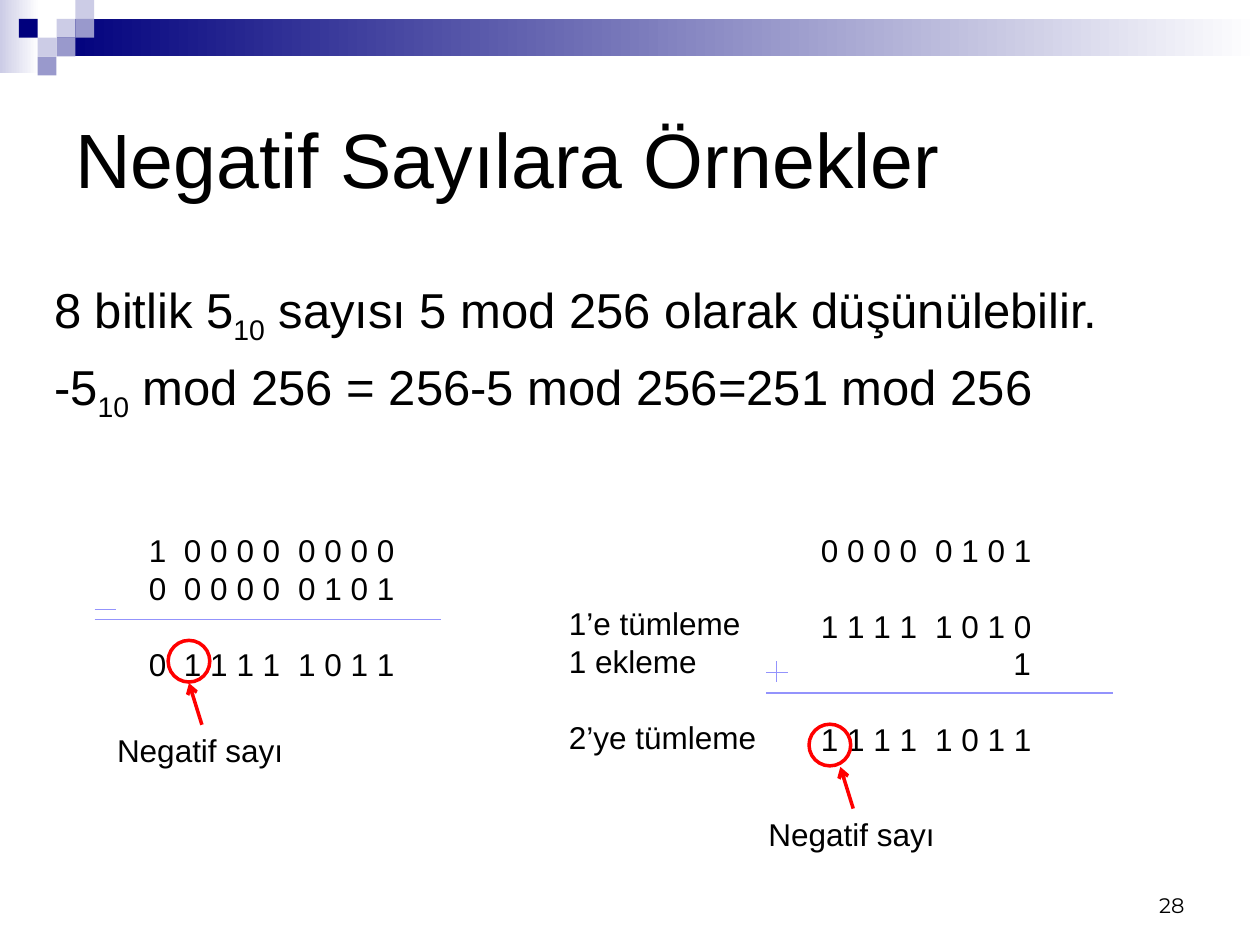
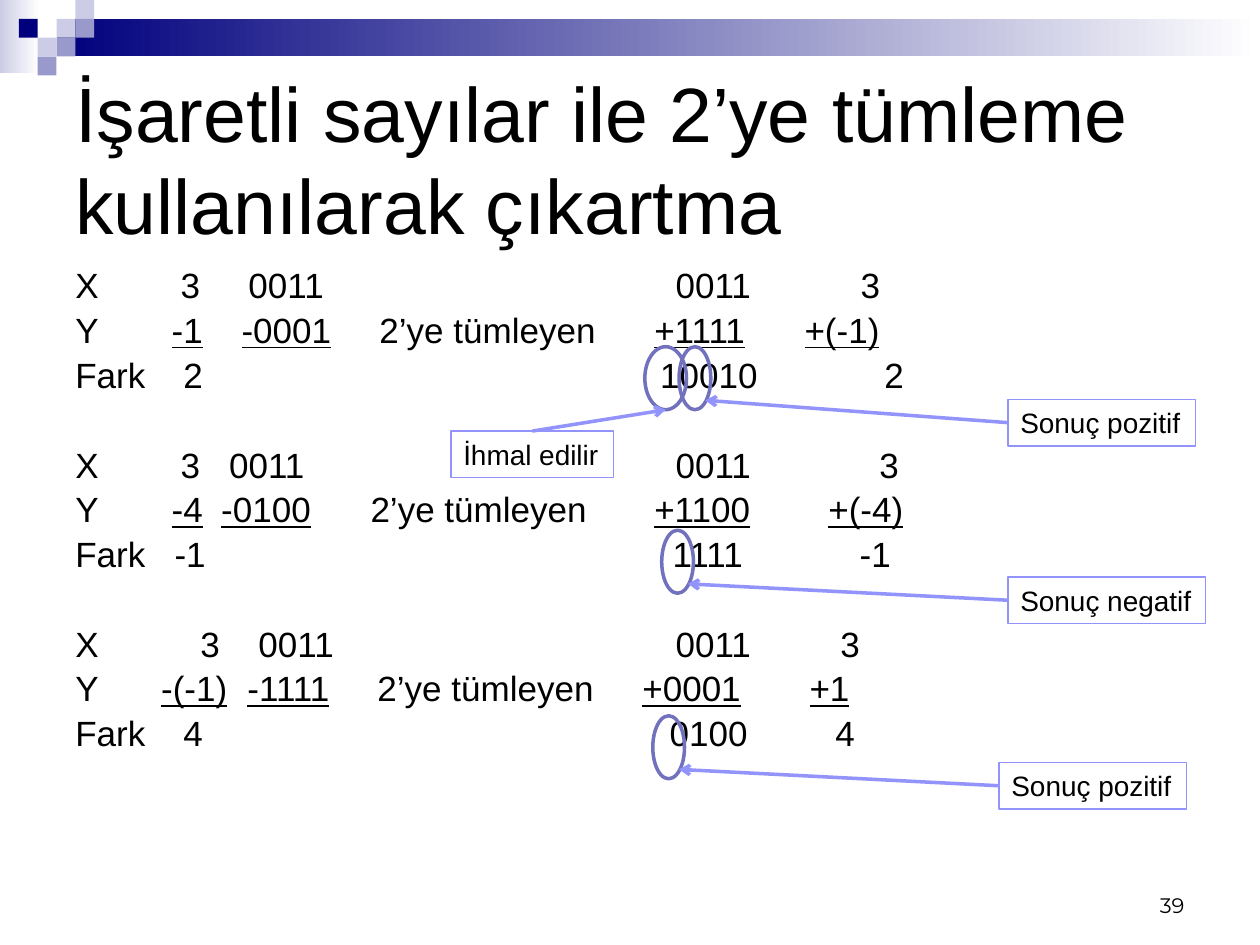
from dataclasses import dataclass
from typing import Any, Optional

import lxml.etree
import pptx
import pptx.dml.color
import pptx.enum.shapes
import pptx.enum.text
import pptx.oxml.ns
import pptx.util

Cm = pptx.util.Cm
Pt = pptx.util.Pt
SHAPE = pptx.enum.shapes.MSO_SHAPE
ALIGN = pptx.enum.text.PP_ALIGN
ANCHOR = pptx.enum.text.MSO_ANCHOR
qn = pptx.oxml.ns.qn

COLORS = {
    "text": "000000",
    "navy": "00007D",
    "lilac": "9999CC",
    "pale": "CCCCE6",
    "white": "FFFFFF",
    "rule": "9393FC",
    "ring": "7171BD",
    "alert": "FF0000",
}
SQUARE = 0.38
BAND_SQUARES = [
    (3, 1, "pale"), (4, 0, "pale"), (4, 1, "lilac"), (2, 2, "pale"),
    (1, 1, "navy"), (3, 2, "lilac"), (2, 3, "lilac"),
]
COMPLEMENT = "2’ye tümleyen"


@dataclass
class Box:
    left: float
    top: float
    width: float
    height: float

    def lengths(self) -> list[int]:
        return [Cm(n) for n in (self.left, self.top, self.width, self.height)]


@dataclass
class Piece:
    text: str
    tab: Optional[float] = None
    underline: bool = False
    subscript: bool = False


@dataclass
class Line:
    pieces: list[Piece]
    before: float = 0


@dataclass
class Style:
    size: float
    font: str = "Arial"
    align: Any = ALIGN.LEFT
    anchor: Any = ANCHOR.TOP
    spacing: Optional[float] = None
    wrap: bool = True


@dataclass
class Verdict:
    text: str
    box: Box
    ring: Box
    from_top: bool = False


TITLE = Style(44, anchor=ANCHOR.MIDDLE)
NUMBER = Style(12, "Montserrat", ALIGN.RIGHT, ANCHOR.BOTTOM)
BODY = Style(28)
BITS = Style(18)
LABEL = Style(18, wrap=False)
VERDICT = Style(16, wrap=False)
SUBTRACTION = Style(20, spacing=0.9)

BLANK_LINE = 21.6
GROUP_GAP = 29.6
LINE_GAP = 4

SUBTRACTIONS = [
    [
        ("X", [(2.12, "3"), (3.49, "0011"), (12.1, "0011"), (15.83, "3")]),
        ("Y", [(1.94, "-1"), (3.35, "-0001"), (6.13, COMPLEMENT), (11.67, "+1111"), (14.7, "+(-1)")]),
        ("Fark", [(2.18, "2"), (11.79, "10010"), (16.31, "2")]),
    ],
    [
        ("X", [(2.12, "3"), (3.1, "0011"), (12.1, "0011"), (16.21, "3")]),
        ("Y", [(1.94, "-4"), (2.94, "-0100"), (5.95, COMPLEMENT), (11.67, "+1100"), (15.18, "+(-4)")]),
        ("Fark", [(2, "-1"), (12.04, "1111"), (15.81, "-1")]),
    ],
    [
        ("X", [(2.52, "3"), (3.69, "0011"), (12.1, "0011"), (15.42, "3")]),
        ("Y", [(1.73, "-(-1)"), (3.47, "-1111"), (6.09, COMPLEMENT), (11.43, "+0001"), (14.8, "+1")]),
        ("Fark", [(2.18, "4"), (11.98, "0100"), (15.32, "4")]),
    ],
]
VERDICTS = [
    Verdict("İhmal edilir", Box(9.09, 8.69, 3.28, 0.94), Box(13, 6.99, 0.84, 1.27), True),
    Verdict("Sonuç pozitif", Box(20.32, 8.05, 3.78, 0.94), Box(13.69, 6.99, 0.64, 1.27)),
    Verdict("Sonuç negatif", Box(20.32, 11.63, 3.99, 0.94), Box(13.34, 10.69, 0.64, 1.27)),
    Verdict("Sonuç pozitif", Box(20.14, 15.37, 3.78, 0.94), Box(13.16, 14.43, 0.64, 1.27)),
]


def rgb(name: str) -> pptx.dml.color.RGBColor:
    return pptx.dml.color.RGBColor.from_string(COLORS[name])


def fill_text(frame: Any, lines: list[Line], style: Style) -> None:
    frame.word_wrap = style.wrap
    frame.vertical_anchor = style.anchor
    for index, line in enumerate(lines):
        paragraph = frame.paragraphs[0] if index == 0 else frame.add_paragraph()
        tabs = [piece.tab for piece in line.pieces if piece.tab is not None]
        if tabs:
            stops = lxml.etree.SubElement(paragraph._p.get_or_add_pPr(), qn("a:tabLst"))
            for tab in tabs:
                lxml.etree.SubElement(stops, qn("a:tab"), pos=str(int(Cm(tab))), algn="l")
        paragraph.alignment = style.align
        paragraph.space_before = Pt(line.before)
        if style.spacing:
            paragraph.line_spacing = style.spacing
        paragraph.font.size = Pt(style.size)
        paragraph.font.name = style.font
        paragraph.font.color.rgb = rgb("text")
        for piece in line.pieces:
            if piece.tab is not None:
                paragraph.add_run().text = "\t"
            run = paragraph.add_run()
            run.text = piece.text
            if piece.underline:
                run.font.underline = True
            if piece.subscript:
                run._r.get_or_add_rPr().set("baseline", "-25000")


def add_text(slide: Any, box: Box, lines: list[Line], style: Style) -> Any:
    frame = slide.shapes.add_textbox(*box.lengths()).text_frame
    fill_text(frame, lines, style)
    return frame


def plain(text: str, before: float = 0) -> Line:
    return Line([Piece(text)], before)


def add_block(slide: Any, box: Box, color: str, fades: bool = False) -> None:
    block = slide.shapes.add_shape(SHAPE.RECTANGLE, *box.lengths())
    block.shadow.inherit = False
    block.line.fill.background()
    if fades:
        block.fill.gradient()
        block.fill.gradient_angle = 0
        for stop, position, name in zip(block.fill.gradient_stops, (0, 1), (color, "white")):
            stop.position = position
            stop.color.rgb = rgb(name)
    else:
        block.fill.solid()
        block.fill.fore_color.rgb = rgb(color)


def add_outline(slide: Any, kind: Any, box: Box, color: str, weight: float) -> Any:
    outline = slide.shapes.add_shape(kind, *box.lengths())
    outline.shadow.inherit = False
    outline.fill.background()
    outline.line.color.rgb = rgb(color)
    outline.line.width = Pt(weight)
    return outline


def add_line(slide: Any, start: tuple[float, float], end: tuple[float, float],
             color: str = "rule", weight: float = 0.75, arrow: bool = False) -> None:
    line = slide.shapes.add_connector(
        pptx.enum.shapes.MSO_CONNECTOR.STRAIGHT, *[Cm(n) for n in (*start, *end)])
    line.line.color.rgb = rgb(color)
    line.line.width = Pt(weight)
    if arrow:
        lxml.etree.SubElement(line.line._get_or_add_ln(), qn("a:tailEnd"), type="arrow")
    lxml.etree.SubElement(line._element.spPr, qn("a:effectLst"))


def add_base(deck: Any, title: str, number: int) -> Any:
    slide = deck.slides.add_slide(deck.slide_layouts[6])
    add_block(slide, Box(0, 0, 0.79, 1.47), "pale", fades=True)
    add_block(slide, Box(1.14, SQUARE, 24.26, 0.76), "navy", fades=True)
    for column, row, color in BAND_SQUARES:
        add_block(slide, Box(column * SQUARE, row * SQUARE, SQUARE, SQUARE), color)
    add_text(slide, Box(1.27, 1.27, 22.86, 3.81), [plain(title)], TITLE)
    add_text(slide, Box(18.21, 17.35, 5.92, 1.27), [plain(str(number))], NUMBER)
    return slide


def bits(*groups: tuple[float, str], before: float = 0) -> Line:
    return Line([Piece(text, tab or None) for tab, text in groups], before)


def add_sign_marker(slide: Any, left: float, top: float, tip: float) -> None:
    add_outline(slide, SHAPE.OVAL, Box(left, top, 0.84, 0.84), "alert", 2)
    tail = (tip + 0.26, top + 1.7)
    add_line(slide, tail, (tip, top + 0.86), "alert", 2, arrow=True)
    add_text(slide, Box(tail[0] - 1.96, tail[1], 3.89, 1.02), [plain("Negatif sayı")], LABEL)


def add_bits(slide: Any, box: Box, lines: list[Line]) -> None:
    add_text(slide, box, lines, BITS).margin_right = 0


def build_negative_examples(deck: Any) -> None:
    slide = add_base(deck, "Negatif Sayılara Örnekler", 28)
    ten = Piece("10", subscript=True)
    add_text(slide, Box(0.84, 5.51, 22.86, 4.65), [
        Line([Piece("8 bitlik 5"), ten, Piece(" sayısı 5 mod 256 olarak düşünülebilir.")], 5.6),
        Line([Piece("-5"), ten, Piece(" mod 256 = 256-5 mod 256=251 mod 256")], 5.6),
    ], BODY)

    add_bits(slide, Box(2.75, 10.59, 5.51, 3.33), [
        bits((0, "1"), (0.71, "0 0 0 0"), (3.01, "0 0 0 0")),
        bits((0, "0"), (0.71, "0 0 0 0"), (3.01, "0 1 0 1")),
        bits((0, "0"), (0.71, "1 1 1 1"), (3.01, "1 0 1 1"), before=BLANK_LINE),
    ])
    add_line(slide, (1.91, 12.49), (8.89, 12.49))
    add_line(slide, (1.91, 12.28), (2.33, 12.28))

    add_bits(slide, Box(16.3, 10.58, 4.78, 4.87), [
        bits((0, "0 0 0 0"), (2.3, "0 1 0 1")),
        bits((0, "1 1 1 1"), (2.3, "1 0 1 0"), before=BLANK_LINE),
        bits((3.88, "1")),
        bits((0, "1 1 1 1"), (2.3, "1 0 1 1"), before=BLANK_LINE),
    ])
    add_line(slide, (15.45, 13.97), (22.43, 13.97))
    add_line(slide, (15.45, 13.55), (15.88, 13.55))
    add_line(slide, (15.66, 13.33), (15.66, 13.75))
    add_text(slide, Box(11.22, 12.06, 4.32, 3.33), [
        plain("1’e tümleme"),
        plain("1 ekleme"),
        plain("2’ye tümleme", BLANK_LINE),
    ], LABEL)

    add_sign_marker(slide, 3.39, 12.91, 3.81)
    add_sign_marker(slide, 16.31, 14.6, 16.94)


def add_verdict(slide: Any, verdict: Verdict) -> None:
    box, ring = verdict.box, verdict.ring
    add_outline(slide, SHAPE.OVAL, ring, "ring", 2)
    label = add_outline(slide, SHAPE.RECTANGLE, box, "rule", 0.75)
    fill_text(label.text_frame, [plain(verdict.text)], VERDICT)
    if verdict.from_top:
        start = (box.left + box.width / 2, box.top)
        tip = (ring.left + ring.width / 2, ring.top + ring.height)
    else:
        start = (box.left, box.top + box.height / 2)
        tip = (ring.left + 0.53, ring.top + 1.08)
    add_line(slide, start, tip, "rule", 2, arrow=True)


def build_signed_subtraction(deck: Any) -> None:
    slide = add_base(deck, "İşaretli sayılar ile 2’ye tümleme kullanılarak çıkartma", 39)
    lines = []
    for group in SUBTRACTIONS:
        for label, cells in group:
            pieces = [Piece(text, tab, label == "Y" and text != COMPLEMENT) for tab, text in cells]
            before = GROUP_GAP if lines and label == "X" else LINE_GAP
            lines.append(Line([Piece(label), *pieces], before))
    add_text(slide, Box(1.27, 5.29, 22.86, 12.27), lines, SUBTRACTION)
    for verdict in VERDICTS:
        add_verdict(slide, verdict)


def main() -> None:
    deck = pptx.Presentation()
    deck.slide_width, deck.slide_height = Cm(25.4), Cm(19.05)
    build_negative_examples(deck)
    build_signed_subtraction(deck)
    deck.save("out.pptx")


if __name__ == "__main__":
    main()
